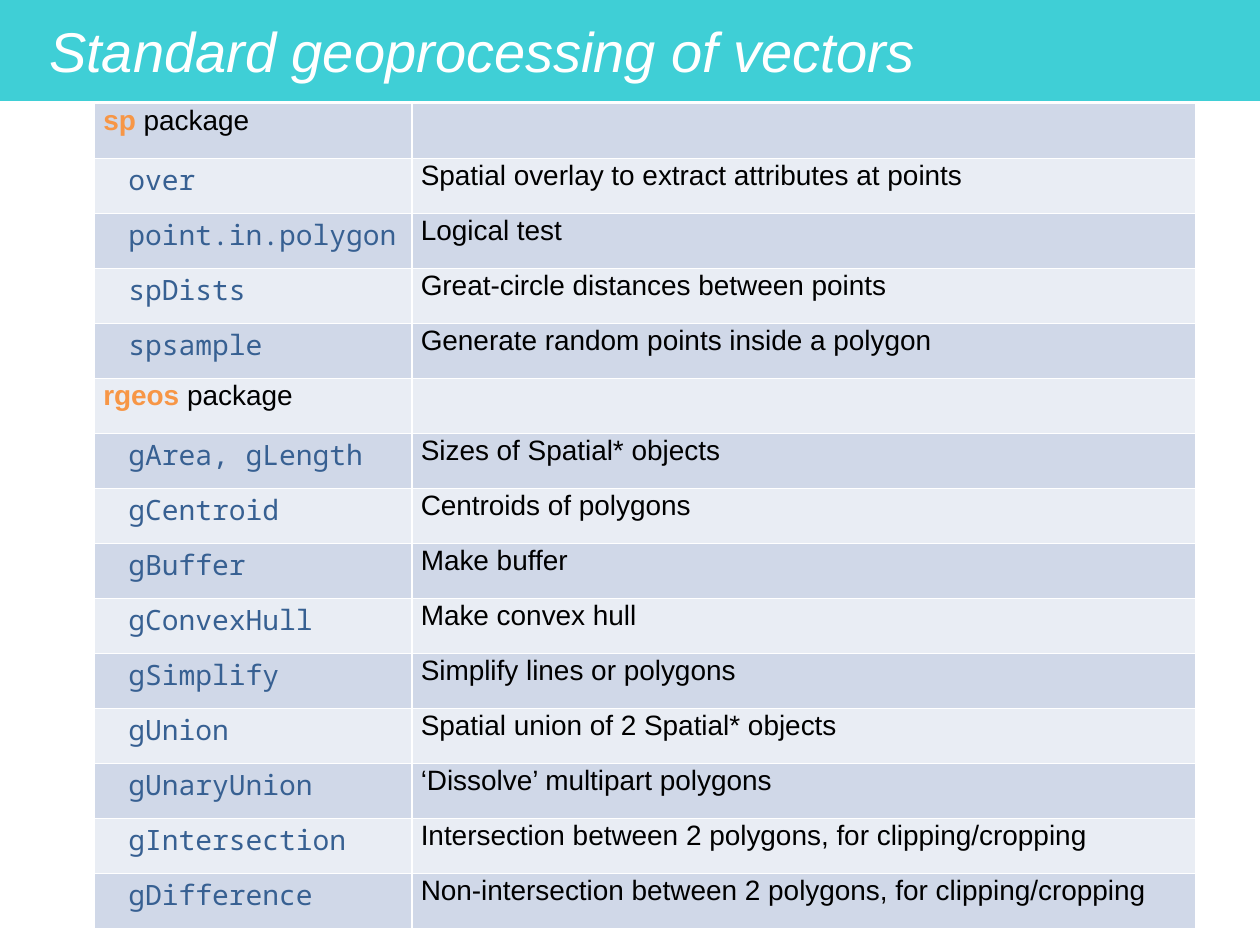
from lxml.etree import SubElement
from pptx import Presentation
from pptx.dml.color import RGBColor
from pptx.enum.text import MSO_ANCHOR, PP_ALIGN
from pptx.oxml.ns import qn
from pptx.util import Inches, Pt

TITLE = "Standard geoprocessing of vectors"
GROUPS = [
    ("sp", [
        ("over", "Spatial overlay to extract attributes at points"),
        ("point.in.polygon", "Logical test"),
        ("spDists", "Great-circle distances between points"),
        ("spsample", "Generate random points inside a polygon"),
    ]),
    ("rgeos", [
        ("gArea, gLength", "Sizes of Spatial* objects"),
        ("gCentroid", "Centroids of polygons"),
        ("gBuffer", "Make buffer"),
        ("gConvexHull", "Make convex hull"),
        ("gSimplify", "Simplify lines or polygons"),
        ("gUnion", "Spatial union of 2 Spatial* objects"),
        ("gUnaryUnion", "‘Dissolve’ multipart polygons"),
        ("gIntersection", "Intersection between 2 polygons, for clipping/cropping"),
        ("gDifference", "Non-intersection between 2 polygons, for clipping/cropping"),
    ]),
]
THEME = {
    "banner": "3FCFD6", "white": "FFFFFF", "text": "000000",
    "accent": "F79646", "code": "376092", "bands": ("D0D8E8", "E9EDF4"),
    "sans": "Arial", "mono": "Noto Sans Mono", "title": 32, "body": 16,
}
WIDTHS = (2.52, 6.22)
LEFT, TOP, HEIGHT = 0.75, 0.82, 6.55


def paint(fill, color):
    fill.solid()
    fill.fore_color.rgb = RGBColor.from_string(color)


def style(font, face, size, color):
    font.name = face
    font.size = Pt(size)
    font.color.rgb = RGBColor.from_string(color)


def add_title(slide):
    title = slide.shapes.title
    title.left = title.top = 0
    title.width, title.height = Inches(10), Inches(0.8)
    paint(title.fill, THEME["banner"])
    frame = title.text_frame
    frame.margin_left = frame.margin_right = Inches(0.39)
    frame.margin_top = frame.margin_bottom = 0
    frame.vertical_anchor = MSO_ANCHOR.MIDDLE
    frame.text = TITLE
    para = frame.paragraphs[0]
    para.alignment = PP_ALIGN.LEFT
    style(para.font, THEME["sans"], THEME["title"], THEME["white"])
    para.font.italic = True


def format_cell(cell, band):
    cell.margin_left = cell.margin_right = Inches(0.07)
    cell.margin_top = cell.margin_bottom = 0
    props = cell._tc.get_or_add_tcPr()
    for side in ("a:lnL", "a:lnR", "a:lnT", "a:lnB"):
        line = SubElement(props, qn(side), w=str(Pt(1)))
        fill = SubElement(line, qn("a:solidFill"))
        SubElement(fill, qn("a:srgbClr"), val=THEME["white"])
    paint(cell.fill, band)


def write(cell, text, face="sans", color="text", indent=0):
    para = cell.text_frame.paragraphs[0]
    para.line_spacing = 1.07
    style(para.font, THEME[face], THEME["body"], THEME[color])
    if indent:
        props = para._p.get_or_add_pPr()
        props.set("marL", str(Inches(indent)))
        props.set("indent", "0")
    para.add_run().text = text
    return para


def add_rows(slide):
    rows = []
    for name, items in GROUPS:
        rows += [(name, None), *items]
    frame = slide.shapes.add_table(
        len(rows), len(WIDTHS), Inches(LEFT), Inches(TOP),
        Inches(sum(WIDTHS)), Inches(HEIGHT))
    table = frame.table
    table.first_row = table.horz_banding = False
    for col, width in zip(table.columns, WIDTHS):
        col.width = Inches(width)
    for i, (name, note) in enumerate(rows):
        table.rows[i].height = Inches(HEIGHT / len(rows))
        first, second = table.rows[i].cells
        for cell in (first, second):
            format_cell(cell, THEME["bands"][i % 2])
        if note is None:
            para = write(first, name + " ")
            font = para.runs[0].font
            font.bold = True
            font.color.rgb = RGBColor.from_string(THEME["accent"])
            para.add_run().text = "package"
        else:
            write(first, name, "mono", "code", 0.2)
            write(second, note)


def main():
    deck = Presentation()
    deck.slide_width, deck.slide_height = Inches(10), Inches(7.5)
    slide = deck.slides.add_slide(deck.slide_layouts[5])
    add_title(slide)
    add_rows(slide)
    deck.save("out.pptx")


if __name__ == "__main__":
    main()
